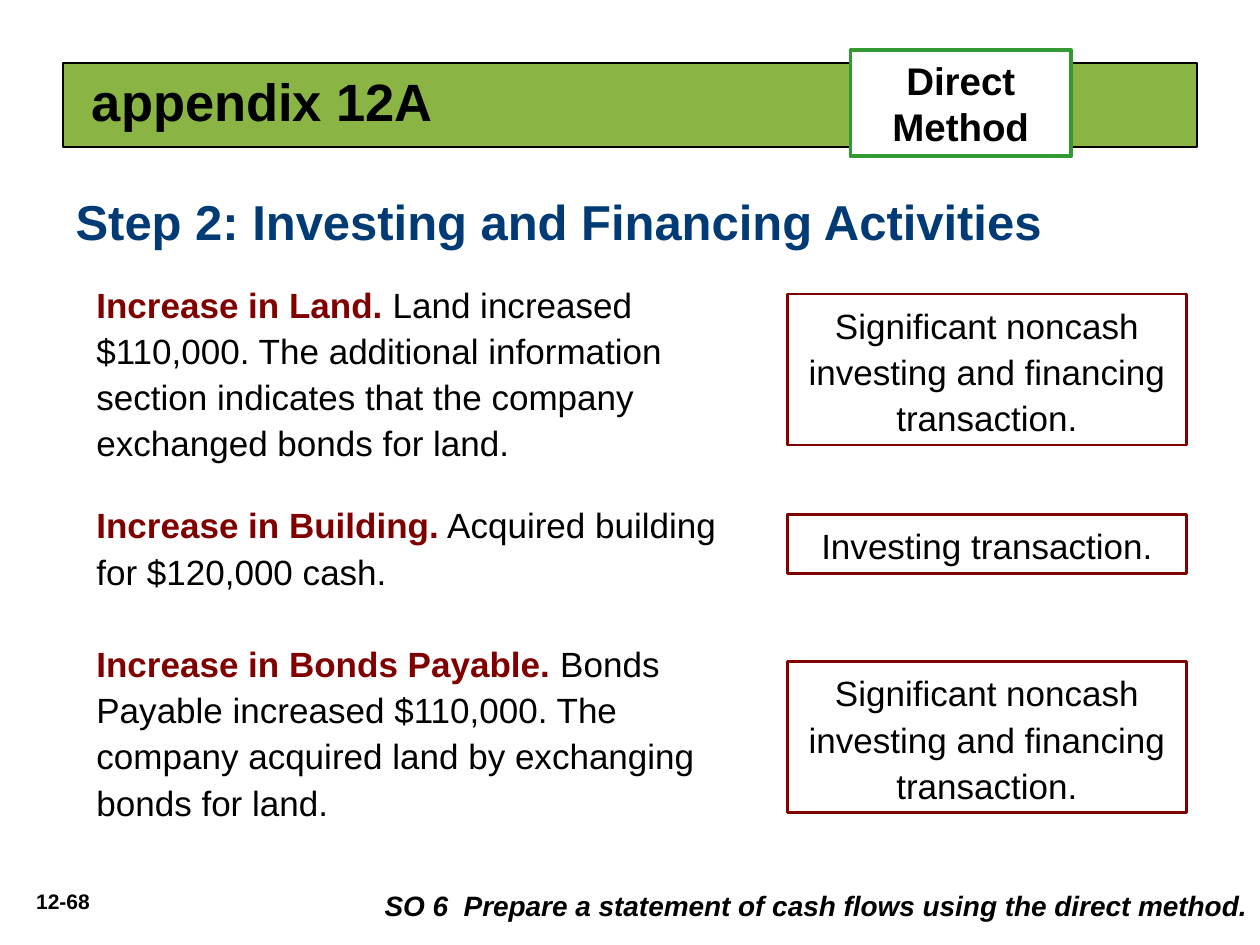
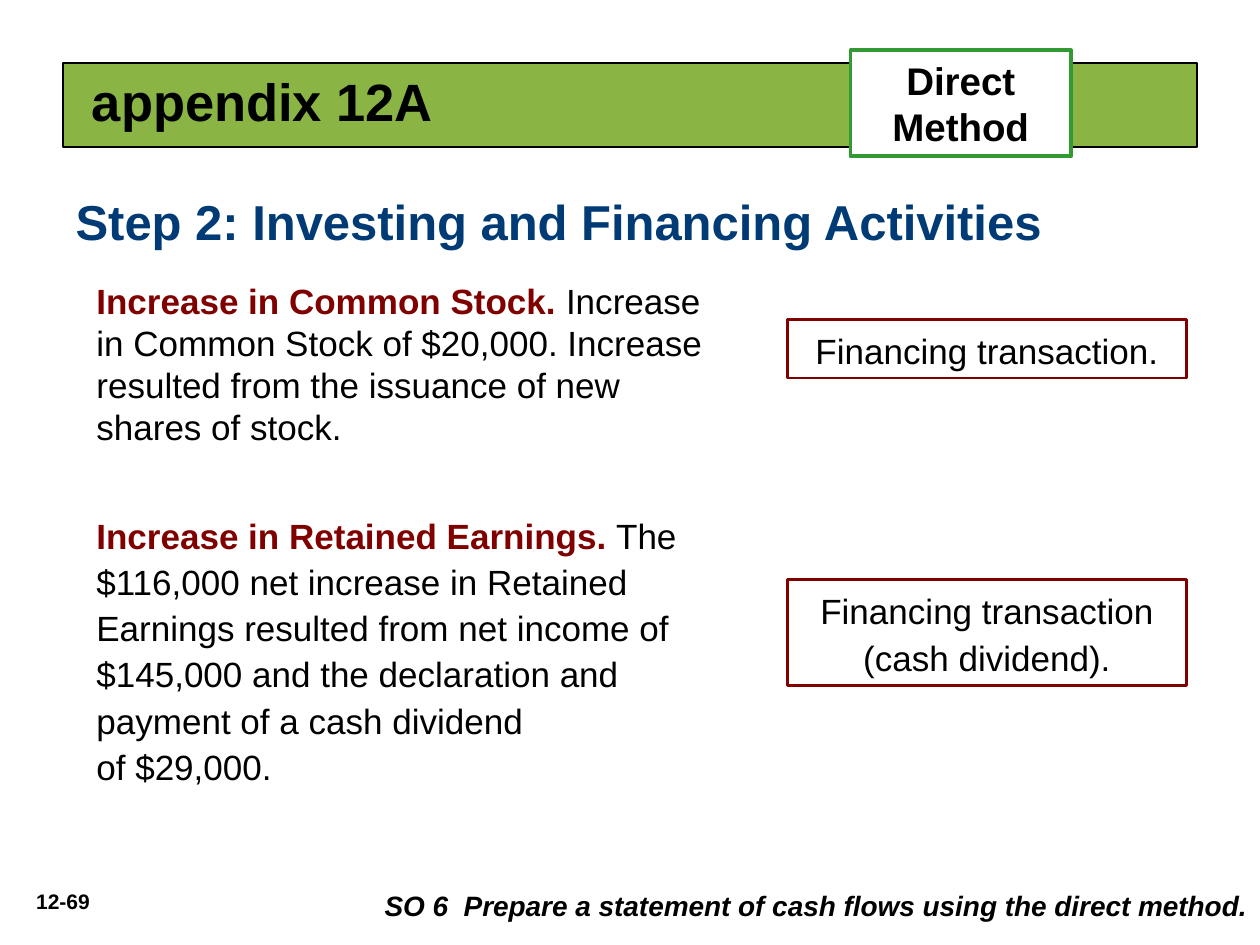
from dataclasses import dataclass

import pptx
import pptx.dml.color
import pptx.enum.shapes
import pptx.enum.text
import pptx.util

ALIGN = pptx.enum.text.PP_ALIGN
ANCHOR = pptx.enum.text.MSO_ANCHOR
RECT = pptx.enum.shapes.MSO_SHAPE.RECTANGLE

# Shared look
FONT = "Arial"
BLACK, WHITE = "000000", "FFFFFF"
BAND_GREEN, TAG_GREEN = "8AB545", "339933"
MAROON, NAVY = "800000", "003B76"

# The slide is a grid of 120 columns and 90 rows, twelve to the inch
COLS, ROWS = 120, 90
CELL = pptx.util.Inches(10) // COLS
NOTE_COL, NOTE_COLS = 8, 62
VERDICT_COL, VERDICT_COLS = 75, 38
VERDICT_ROWS = {1: 5.6, 2: 10.1, 3: 14.4}


@dataclass(frozen=True)
class Box:
    col: float
    row: float
    cols: float
    rows: float


@dataclass(frozen=True)
class Style:
    size: float
    color: str = BLACK
    bold: bool = False
    italic: bool = False
    align: ALIGN = ALIGN.LEFT
    spacing: float = 1.0


@dataclass(frozen=True)
class Change:
    """An account change on the left and its verdict on the right."""
    lead: str
    detail: str
    row: float
    rows: float
    verdict: str
    verdict_row: float
    verdict_lines: int
    spacing: float = 1.1


@dataclass(frozen=True)
class Page:
    number: str
    changes: tuple[Change, ...]


NONCASH = "Significant noncash\ninvesting and financing transaction."

PAGES = (
    Page("12-68", (
        Change("Increase in Land.",
               " Land increased $110,000. The additional information section "
               "indicates that the company exchanged bonds for land.",
               26, 18.8, NONCASH, 28, 3),
        Change("Increase in Building.",
               " Acquired building for $120,000 cash.",
               47, 10.1, "Investing transaction.", 49, 1),
        Change("Increase in Bonds Payable.",
               " Bonds Payable increased $110,000. The company acquired land "
               "by exchanging bonds for land.",
               60.2, 18.8, NONCASH, 63, 3),
    )),
    Page("12-69", (
        Change("Increase in Common Stock.",
               " Increase in Common Stock of $20,000. Increase resulted from "
               "the issuance of new shares of stock.",
               26, 17.3, "Financing transaction.", 30.4, 1, 1.0),
        Change("Increase in Retained Earnings.",
               " The $116,000 net increase in Retained Earnings resulted from "
               "net income of $145,000 and the declaration and payment of a "
               "cash dividend\nof $29,000.",
               48, 27.6, "Financing transaction (cash dividend).", 55.2, 2),
    )),
)


def rgb(value: str) -> pptx.dml.color.RGBColor:
    return pptx.dml.color.RGBColor.from_string(value)


def place(box: Box) -> list[int]:
    return [round(n * CELL) for n in (box.col, box.row, box.cols, box.rows)]


def write(sp, text: str, style: Style, lead: str = "",
          anchor: ANCHOR = ANCHOR.TOP) -> None:
    """Fill a shape with one paragraph per line, after an optional bold lead."""
    tf = sp.text_frame
    tf.word_wrap = True
    tf.auto_size = pptx.enum.text.MSO_AUTO_SIZE.NONE
    tf.vertical_anchor = anchor
    for i, line in enumerate(text.split("\n")):
        p = tf.add_paragraph() if i else tf.paragraphs[0]
        p.alignment, p.line_spacing = style.align, style.spacing
        p.space_before = pptx.util.Pt(0)
        font = p.font
        font.name, font.size = FONT, pptx.util.Pt(style.size)
        font.bold, font.italic = style.bold, style.italic
        font.color.rgb = rgb(style.color)
        if lead and i == 0:
            r = p.add_run()
            r.text = lead
            r.font.bold = True
            r.font.color.rgb = rgb(MAROON)
        p.add_run().text = line


def add_text(s, box: Box, text: str, style: Style, lead: str = "") -> None:
    write(s.shapes.add_textbox(*place(box)), text, style, lead)


def add_rect(s, box: Box, line: str, width: float, fill: str = ""):
    sp = s.shapes.add_shape(RECT, *place(box))
    sp.shadow.inherit = False
    if fill:
        sp.fill.solid()
        sp.fill.fore_color.rgb = rgb(fill)
    else:
        sp.fill.background()
    sp.line.color.rgb = rgb(line)
    sp.line.width = pptx.util.Pt(width)
    return sp


def add_frame(s, number: str) -> None:
    """Draw everything the pages share: band, tag, title and footer."""
    # Green band with the method tag on top
    band = add_rect(s, Box(6, 6, 108, 8), BLACK, 1, BAND_GREEN)
    band.text_frame.margin_left = pptx.util.Inches(0.23)
    write(band, "appendix 12A", Style(30, bold=True, spacing=0.9),
          anchor=ANCHOR.MIDDLE)
    tag = add_rect(s, Box(81, 4.8, 21, 10.1), TAG_GREEN, 2.25, WHITE)
    write(tag, "Direct Method", Style(22, bold=True, align=ALIGN.CENTER))

    # Title
    title = s.shapes.title
    title.left, title.top, title.width, title.height = place(
        Box(6, 17.6, 103, 6.8))
    write(title, "Step 2: Investing and Financing Activities",
          Style(28, NAVY, bold=True))

    # Footer
    add_text(s, Box(1, 84, 10, 3.6), number,
             Style(12, bold=True, align=ALIGN.CENTER))
    add_text(s, Box(16, 84, 104, 4.4),
             "SO 6  Prepare a statement of cash flows using the direct method.",
             Style(16, bold=True, italic=True, align=ALIGN.RIGHT))


def add_change(s, change: Change) -> None:
    add_text(s, Box(NOTE_COL, change.row, NOTE_COLS, change.rows),
             change.detail, Style(20, spacing=change.spacing), change.lead)
    verdict = add_rect(s, Box(VERDICT_COL, change.verdict_row, VERDICT_COLS,
                              VERDICT_ROWS[change.verdict_lines]), MAROON, 1.5)
    write(verdict, change.verdict,
          Style(20, align=ALIGN.CENTER, spacing=1.1))


def main() -> None:
    prs = pptx.Presentation()
    prs.slide_width, prs.slide_height = COLS * CELL, ROWS * CELL
    title_only = prs.slide_layouts.get_by_name("Title Only")
    for page in PAGES:
        s = prs.slides.add_slide(title_only)
        add_frame(s, page.number)
        for change in page.changes:
            add_change(s, change)
    prs.save("out.pptx")


if __name__ == "__main__":
    main()
